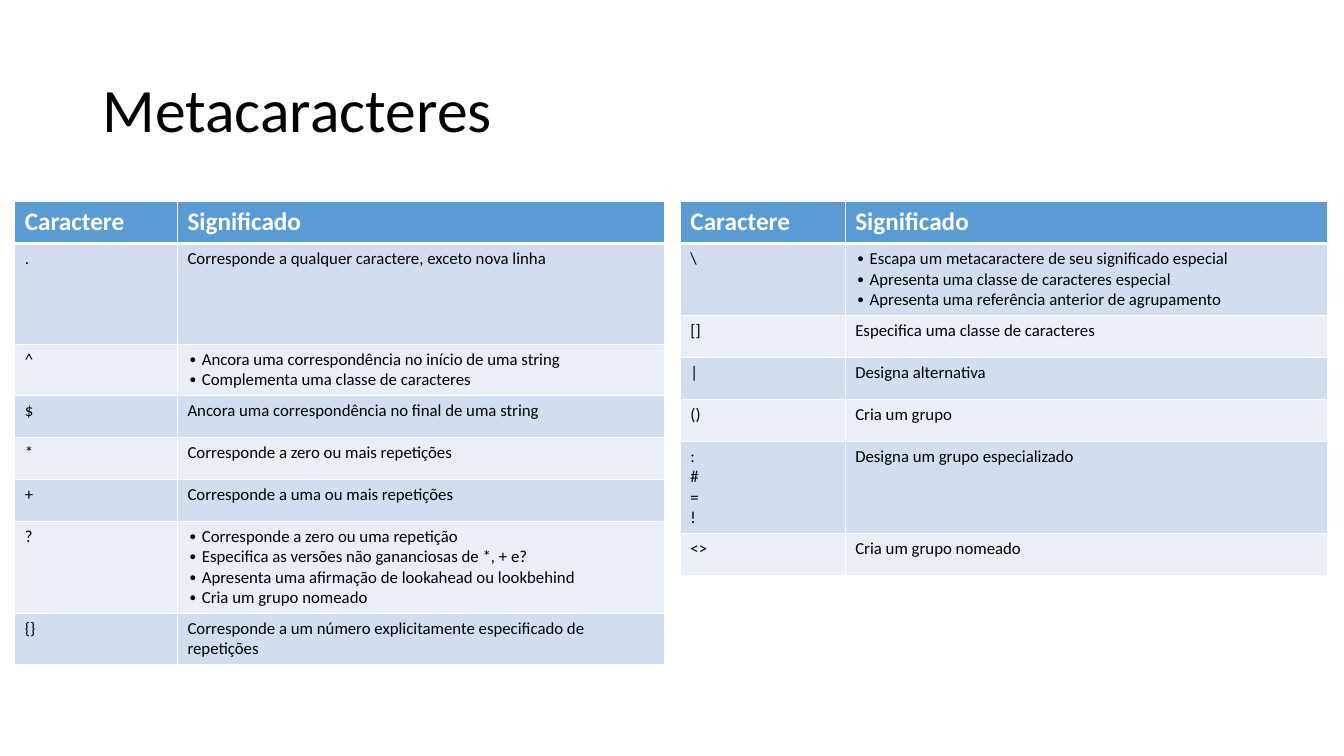
from lxml.etree import SubElement as add_node
from pptx import Presentation
from pptx.dml.color import RGBColor
from pptx.enum.text import MSO_ANCHOR as Anchor, MSO_AUTO_SIZE as Fit, PP_ALIGN as Align
from pptx.oxml.ns import qn
from pptx.util import Pt

PX = 9525
FONT = "Calibri"
BLACK = RGBColor(0x00, 0x00, 0x00)
WHITE = RGBColor(0xFF, 0xFF, 0xFF)
BLUE = RGBColor(0x5B, 0x9B, 0xD5)
PALE = RGBColor(0xD2, 0xDE, 0xEF)
LIGHT = RGBColor(0xEA, 0xEF, 0xF7)

TOP = 192
ROW = 40
HEAD = ("Caractere", "Significado")

LEFT_ROWS = [
    (".", "Corresponde a qualquer caractere, exceto nova linha"),
    ("^", "∙ Ancora uma correspondência no início de uma string\n"
          "∙ Complementa uma classe de caracteres"),
    ("$", "Ancora uma correspondência no final de uma string"),
    ("*", "Corresponde a zero ou mais repetições"),
    ("+", "Corresponde a uma ou mais repetições"),
    ("?", "∙ Corresponde a zero ou uma repetição\n"
          "∙ Especifica as versões não gananciosas de *, + e?\n"
          "∙ Apresenta uma afirmação de lookahead ou lookbehind\n"
          "∙ Cria um grupo nomeado"),
    ("{}", "Corresponde a um número explicitamente especificado de repetições"),
]
RIGHT_ROWS = [
    ("\\", "∙ Escapa um metacaractere de seu significado especial\n"
           "∙ Apresenta uma classe de caracteres especial\n"
           "∙ Apresenta uma referência anterior de agrupamento"),
    ("[]", "Especifica uma classe de caracteres"),
    ("|", "Designa alternativa"),
    ("()", "Cria um grupo"),
    (":\n#\n=\n!", "Designa um grupo especializado"),
    ("<>", "Cria um grupo nomeado"),
]


def write(frame, text, size, color, bold=False):
    """Put each line of text in its own paragraph."""
    for i, line in enumerate(text.split("\n")):
        para = frame.add_paragraph() if i else frame.paragraphs[0]
        run = para.add_run()
        run.text = line
        font = run.font
        font.name, font.size, font.bold = FONT, Pt(size), bold
        font.color.rgb = color


def add_edges(cell, top, base):
    """Draw white borders; top and base are widths in points."""
    props = cell._tc.get_or_add_tcPr()
    for side, width in (("L", 1), ("R", 1), ("T", top), ("B", base)):
        line = add_node(props, qn(f"a:ln{side}"), w=str(Pt(width)))
        fill = add_node(line, qn("a:solidFill"))
        add_node(fill, qn("a:srgbClr"), val=str(WHITE))


def add_title(slide, text):
    title = slide.shapes.title
    title.left, title.top = 88 * PX, 38 * PX
    title.width, title.height = 1104 * PX, 139 * PX
    frame = title.text_frame
    frame.auto_size = Fit.NONE
    frame.vertical_anchor = Anchor.MIDDLE
    write(frame, text, 44, BLACK)
    para = frame.paragraphs[0]
    para.alignment = Align.LEFT
    para.line_spacing = 0.9


def add_grid(slide, left, widths, rows, first=ROW):
    """Add a table; first is the height of the row below the header."""
    heights = [ROW, first] + [ROW] * (len(rows) - 1)
    table = slide.shapes.add_table(
        len(heights), len(widths), left * PX, TOP * PX,
        sum(widths) * PX, sum(heights) * PX).table
    for col, width in zip(table.columns, widths):
        col.width = width * PX
    for row, height in zip(table.rows, heights):
        row.height = height * PX
    for r, texts in enumerate([HEAD] + rows):
        for c, text in enumerate(texts):
            cell = table.cell(r, c)
            add_edges(cell, 3 if r == 1 else 1, 3 if r == 0 else 1)
            cell.fill.solid()
            if r == 0:
                cell.fill.fore_color.rgb = BLUE
                write(cell.text_frame, text, 18, WHITE, True)
            else:
                cell.fill.fore_color.rgb = PALE if r % 2 else LIGHT
                write(cell.text_frame, text, 12, BLACK)


def main():
    deck = Presentation()
    deck.slide_width, deck.slide_height = 1280 * PX, 720 * PX
    slide = deck.slides.add_slide(deck.slide_layouts[5])
    add_title(slide, "Metacaracteres")
    add_grid(slide, 14, (155, 464), LEFT_ROWS, first=96)
    add_grid(slide, 648, (157, 459), RIGHT_ROWS)
    deck.save("out.pptx")


if __name__ == "__main__":
    main()
